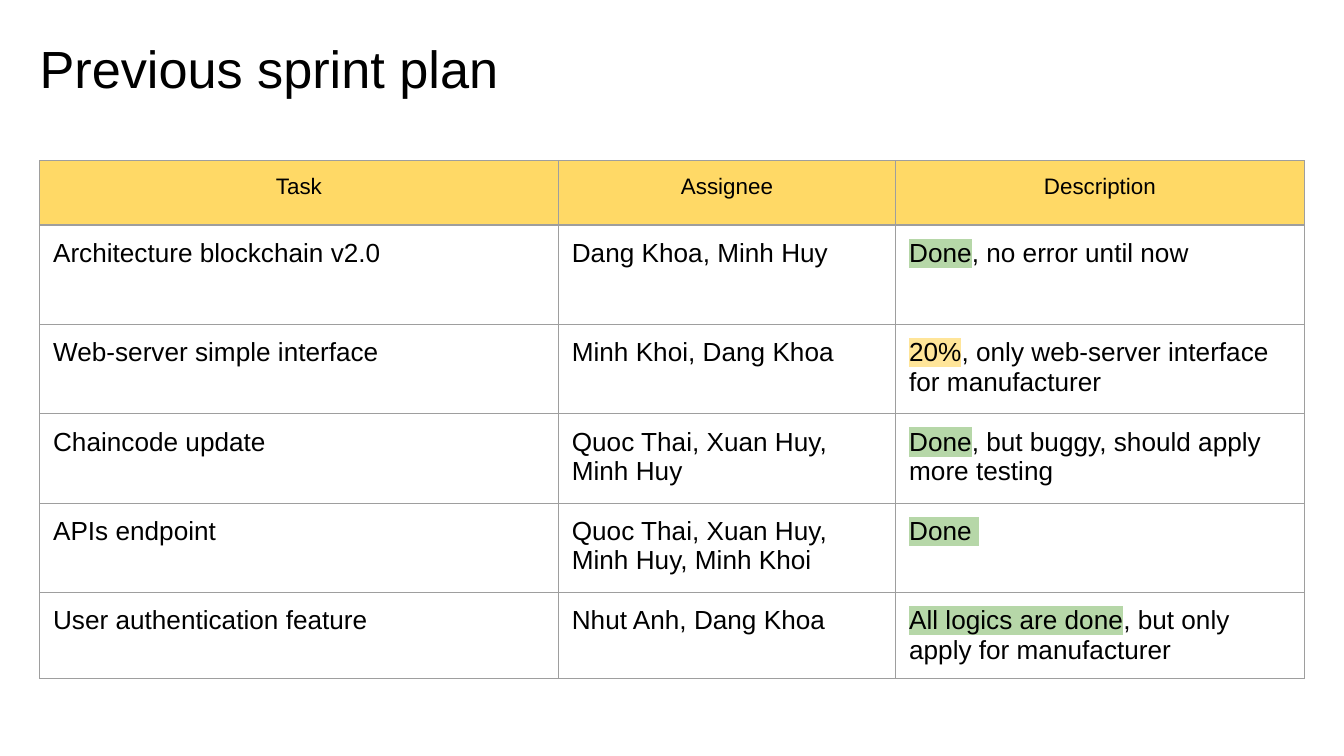
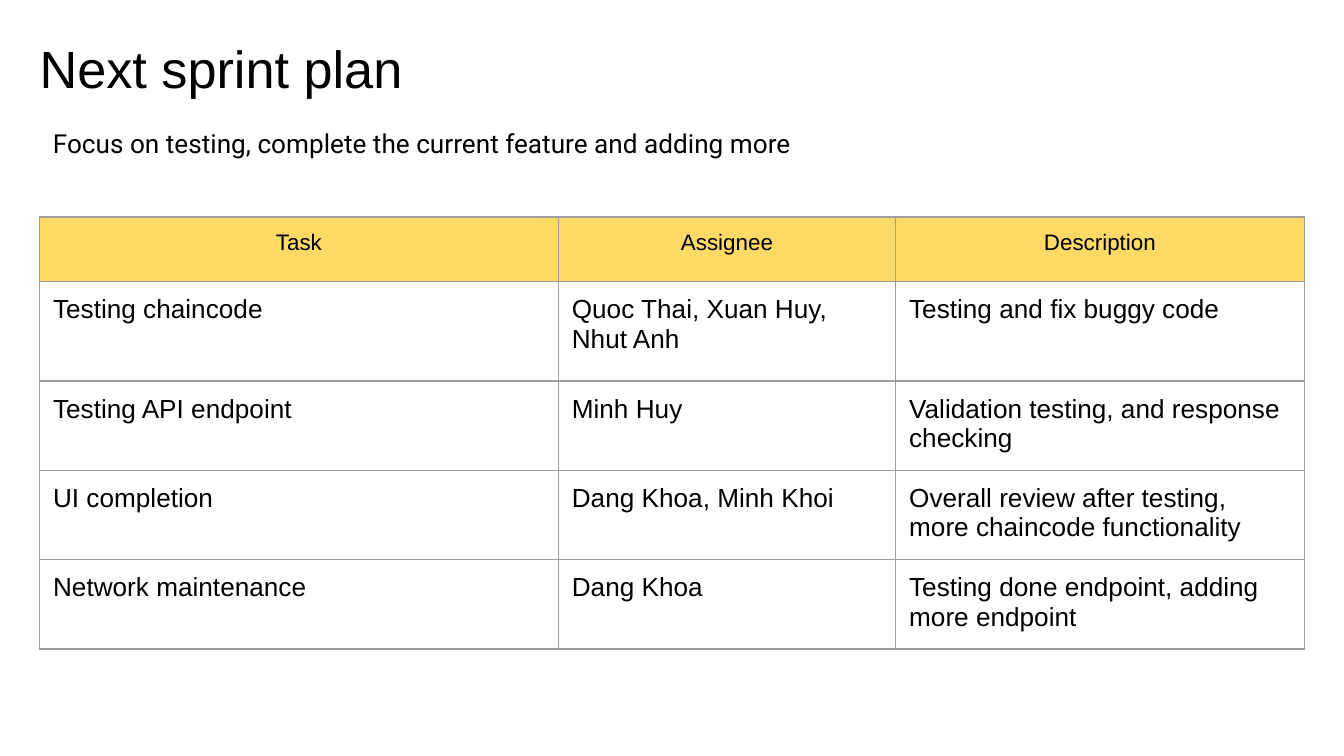
from lxml.etree import SubElement
from pptx import Presentation
from pptx.dml.color import RGBColor
from pptx.enum.text import MSO_ANCHOR, MSO_AUTO_SIZE, PP_ALIGN
from pptx.oxml import parse_xml
from pptx.oxml.ns import nsdecls, qn
from pptx.util import Pt

PX = 4572
BLACK = RGBColor(0x00, 0x00, 0x00)
GREY = RGBColor(0x9E, 0x9E, 0x9E)
GOLD = RGBColor(0xFF, 0xD9, 0x66)
GREEN = RGBColor(0xB6, 0xD7, 0xA8)
CREAM = RGBColor(0xFF, 0xE5, 0x99)

SLIDE_SIZE = (2000, 1125)
TITLE_BOX = (39, 44, 1864, 126)
FOCUS_BOX = (59, 170, 1286, 88)
TABLE_LEFT = 59
COLUMNS = (772, 502, 608)
HEADER_H, FIRST_H, ROW_H, LAST_H = 96, 148, 133, 96
INSET = 20

TITLE = {"size": Pt(28), "name": "Arial"}
HEADER = {"size": Pt(12), "name": "Arial"}
BODY = {"size": Pt(14), "name": "Arial"}
FOCUS = {"size": Pt(14), "name": "Roboto"}
HEADINGS = ("Task", "Assignee", "Description")

PREVIOUS = [
    ("Architecture blockchain v2.0", "Dang Khoa, Minh Huy",
     [("Done", GREEN), (", no error until now", None)]),
    ("Web-server simple interface", "Minh Khoi, Dang Khoa",
     [("20%", CREAM), (", only web-server interface for manufacturer", None)]),
    ("Chaincode update", "Quoc Thai, Xuan Huy, Minh Huy",
     [("Done", GREEN), (", but buggy, should apply more testing", None)]),
    ("APIs endpoint", "Quoc Thai, Xuan Huy, Minh Huy, Minh Khoi",
     [("Done ", GREEN)]),
    ("User authentication feature", "Nhut Anh, Dang Khoa",
     [("All logics are done", GREEN), (", but only apply for manufacturer", None)]),
]
NEXT = [
    ("Testing chaincode", "Quoc Thai, Xuan Huy, Nhut Anh", "Testing and fix buggy code"),
    ("Testing API endpoint", "Minh Huy", "Validation testing, and response checking"),
    ("UI completion", "Dang Khoa, Minh Khoi",
     "Overall review after testing, more chaincode functionality"),
    ("Network maintenance", "Dang Khoa", "Testing done endpoint, adding more endpoint"),
]


def px(*lengths):
    """Turn px lengths into EMU."""
    return [n * PX for n in lengths]


def apply(obj, values):
    """Set attributes from a dict of format values."""
    for key, value in values.items():
        setattr(obj, key, value)


def set_insets(obj):
    """Give a text frame or a cell the common inset on every side."""
    apply(obj, {f"margin_{side}": INSET * PX for side in ("left", "top", "right", "bottom")})


def write(tf, content, font, align=PP_ALIGN.LEFT):
    """Write plain text or (text, highlight) pairs as one paragraph."""
    p = tf.paragraphs[0]
    p.alignment = align
    for text, mark in [(content, None)] if isinstance(content, str) else content:
        r = p.add_run()
        r.text = text
        apply(r.font, font)
        r.font.color.rgb = BLACK
        if mark is not None:
            xml = f'<a:highlight {nsdecls("a")}><a:srgbClr val="{mark}"/></a:highlight>'
            r.font.fill._xPr.find(qn("a:solidFill")).addnext(parse_xml(xml))
    return p


def add_borders(cell):
    """Draw the thin grey line on the four sides of a cell."""
    tcPr = cell._tc.get_or_add_tcPr()
    for i, side in enumerate("LRTB"):
        ln = SubElement(tcPr, qn(f"a:ln{side}"), w=str(Pt(0.75)))
        fill = SubElement(ln, qn("a:solidFill"))
        SubElement(fill, qn("a:srgbClr"), val=str(GREY))
        tcPr.insert(i, ln)


def add_title(slide, box, text):
    """Place and format the title placeholder."""
    sp = slide.shapes.title
    apply(sp, dict(zip(("left", "top", "width", "height"), px(*box))))
    tf = sp.text_frame
    apply(tf, {"word_wrap": True, "auto_size": MSO_AUTO_SIZE.NONE,
               "vertical_anchor": MSO_ANCHOR.TOP})
    set_insets(tf)
    write(tf, text, TITLE).line_spacing = 0.9


def add_focus(slide, box, text):
    """Add the line that states the focus of the sprint."""
    tf = slide.shapes.add_textbox(*px(*box)).text_frame
    apply(tf, {"word_wrap": True, "auto_size": MSO_AUTO_SIZE.SHAPE_TO_FIT_TEXT})
    set_insets(tf)
    write(tf, text, FOCUS)


def add_plan(slide, left, top, tasks, heights):
    """Add the task table with its top left corner at the given point."""
    box = px(left, top, sum(COLUMNS), sum(heights))
    table = slide.shapes.add_table(len(heights), len(COLUMNS), *box).table
    apply(table, {"first_row": False, "horz_banding": False})
    for column, width in zip(table.columns, COLUMNS):
        column.width = width * PX
    for i, (row, height, contents) in enumerate(zip(table.rows, heights, [HEADINGS, *tasks])):
        row.height = height * PX
        for cell, content in zip(row.cells, contents):
            set_insets(cell)
            if i == 0:
                cell.fill.solid()
                cell.fill.fore_color.rgb = GOLD
                write(cell.text_frame, content, HEADER, PP_ALIGN.CENTER)
            else:
                cell.fill.background()
                write(cell.text_frame, content, BODY)
            add_borders(cell)


def add_sprint(prs, title, top, tasks, heights, focus=None):
    """Add one sprint plan slide."""
    slide = prs.slides.add_slide(prs.slide_layouts[5])
    add_title(slide, TITLE_BOX, title)
    add_plan(slide, TABLE_LEFT, top, tasks, heights)
    if focus:
        add_focus(slide, FOCUS_BOX, focus)


def main():
    """Build both slides and save the file."""
    prs = Presentation()
    prs.slide_width, prs.slide_height = px(*SLIDE_SIZE)
    heights = [HEADER_H, FIRST_H] + [ROW_H] * 3
    add_sprint(prs, "Previous sprint plan", 239, PREVIOUS, heights + [LAST_H])
    add_sprint(prs, "Next sprint plan", 323, NEXT, heights,
               "Focus on testing, complete the current feature and adding more")
    prs.save("out.pptx")


if __name__ == "__main__":
    main()
